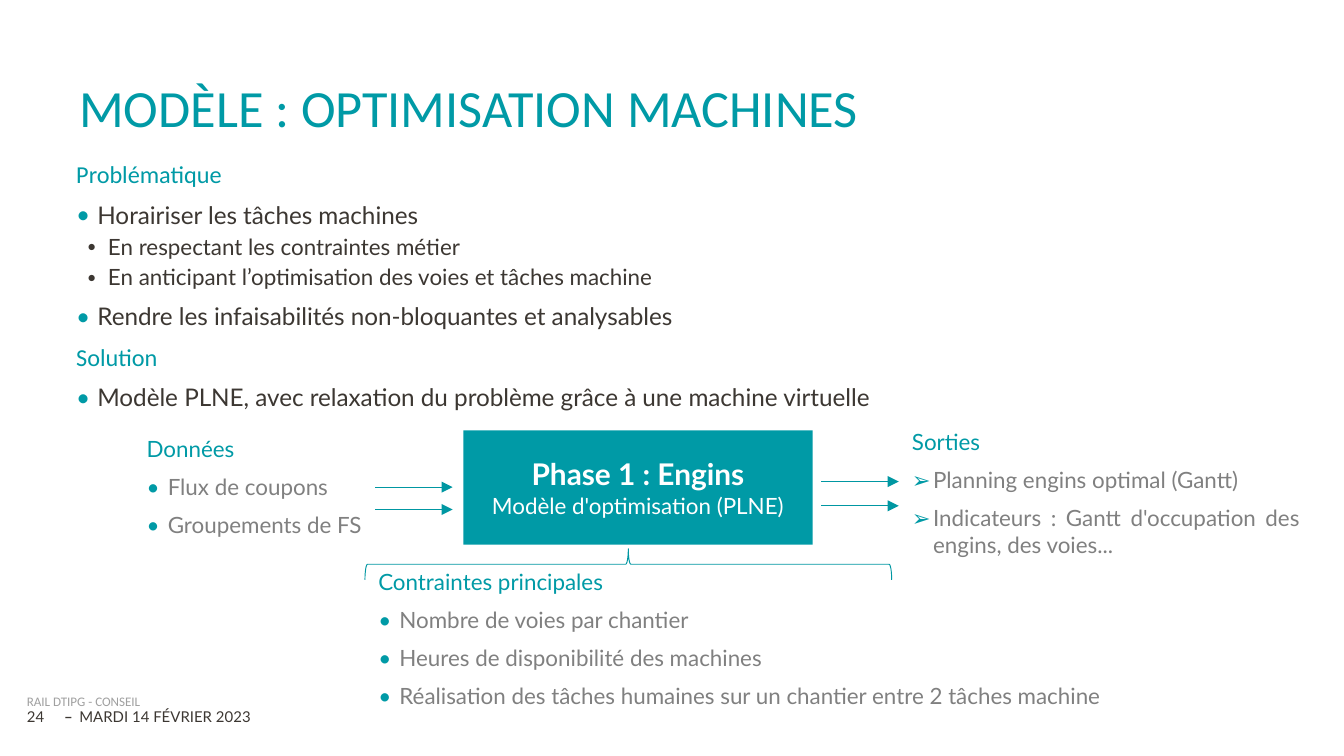
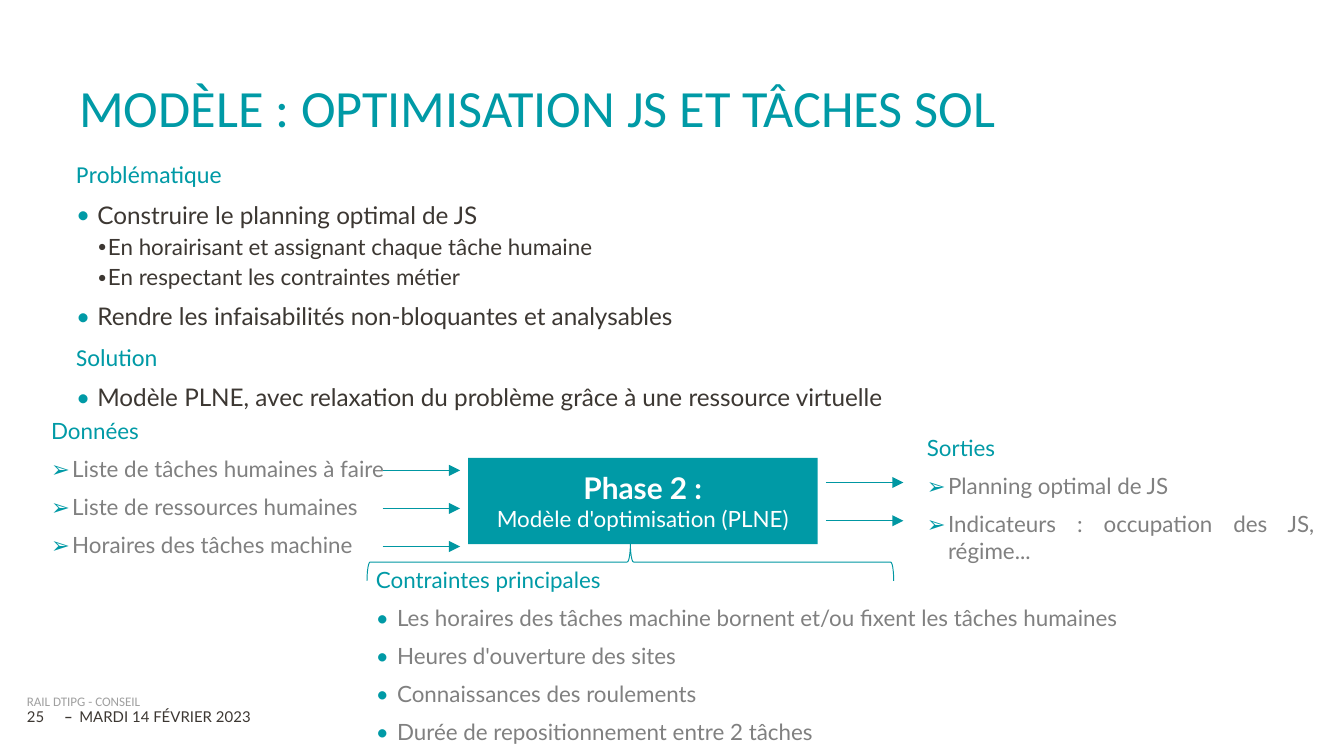
from collections import namedtuple
from dataclasses import dataclass

from lxml import etree
from pptx import Presentation
from pptx import util as u
from pptx.dml.color import RGBColor
from pptx.enum import shapes, text
from pptx.oxml.ns import qn

Box = namedtuple("Box", "left top width height")
Pt = u.Pt


@dataclass(frozen=True)
class Theme:
    teal: str = "009AA6"
    line: str = "0097A2"
    dark: str = "3C3732"
    grey: str = "808080"
    pale: str = "A0A0A0"
    white: str = "FFFFFF"
    heading_font: str = "Calibri"
    body_font: str = "Lato"
    title_size: int = 28
    phase_size: int = 16
    body_size: int = 13
    detail_size: int = 12
    footer_size: int = 8
    owner_size: int = 7
    line_width: float = 0.5
    indent: float = 11.34
    sub_indent: float = 17


THEME = Theme()
LEFT, CENTER, JUSTIFY = (text.PP_ALIGN.LEFT, text.PP_ALIGN.CENTER,
                         text.PP_ALIGN.JUSTIFY)
DOT, ARROW = "•", "➢"
TEXT_MARGINS = (7.2, 3.6)

# Regions found on both slides
TITLE_BOX = Box(42.5, 6.5, 635, 67.7)
BODY_BOX = Box(33.8, 82, 643.7, 297.4)
FOOTER_BOX = Box(14.4, 372.2, 150, 18.5)
OWNER = "RAIL DTIPG - CONSEIL"
DATE = "MARDI 14 FÉVRIER 2023"


def color(value):
    return RGBColor.from_string(value)


def set_frame(frame, margins, anchor=text.MSO_ANCHOR.TOP):
    frame.word_wrap = True
    frame.vertical_anchor = anchor
    frame.margin_left = frame.margin_right = Pt(margins[0])
    frame.margin_top = frame.margin_bottom = Pt(margins[1])
    return frame


def add_text_box(slide, box, margins=(0, 0), **options):
    shape = slide.shapes.add_textbox(*map(Pt, box))
    return set_frame(shape.text_frame, margins, **options)


def add_bullet(paragraph, char, bullet_color, scale, margin, hanging):
    properties = paragraph._p.get_or_add_pPr()
    properties.set("marL", str(Pt(margin)))
    properties.set("indent", str(-Pt(hanging)))
    fill = etree.SubElement(properties, qn("a:buClr"))
    etree.SubElement(fill, qn("a:srgbClr"), val=bullet_color)
    if scale:
        etree.SubElement(properties, qn("a:buSzPct"), val=str(scale * 1000))
    etree.SubElement(properties, qn("a:buFont"), typeface=THEME.body_font)
    etree.SubElement(properties, qn("a:buChar"), char=char)


def add_text(frame, content, size, ink, font=THEME.body_font, bold=False,
             align=LEFT, before=0, spacing=None, level=0, bullet=None,
             bullet_color=THEME.teal, scale=None, margin=THEME.indent,
             hanging=THEME.indent):
    paragraph = frame.paragraphs[0]
    if paragraph.runs:
        paragraph = frame.add_paragraph()
    paragraph.alignment = align
    paragraph.level = level
    paragraph.space_before = Pt(before)
    if spacing:
        paragraph.line_spacing = spacing
    if bullet:
        add_bullet(paragraph, bullet, bullet_color, scale, margin, hanging)
    run = paragraph.add_run()
    run.text = content
    run.font.name = font
    run.font.size = Pt(size)
    run.font.bold = bold
    run.font.color.rgb = color(ink)


# Title, body and footer
def draw_title(slide, box, title):
    frame = add_text_box(slide, box, anchor=text.MSO_ANCHOR.BOTTOM)
    add_text(frame, title, THEME.title_size, THEME.teal,
             font=THEME.heading_font, spacing=0.85)


def draw_body(slide, box, goal, means, resource, sub_hanging):
    frame = add_text_box(slide, box, TEXT_MARGINS)

    def heading(content):
        add_text(frame, content, THEME.body_size, THEME.teal,
                 font=THEME.heading_font, before=6)

    def item(content):
        add_text(frame, content, THEME.body_size, THEME.dark, align=JUSTIFY,
                 before=6, level=1, bullet=DOT)

    heading("Problématique")
    item(goal)
    for content in means:
        add_text(frame, content, THEME.detail_size, THEME.dark, align=JUSTIFY,
                 before=2, level=2, bullet=DOT, bullet_color=THEME.dark,
                 scale=75, margin=THEME.sub_indent, hanging=sub_hanging)
    item("Rendre les infaisabilités non-bloquantes et analysables")
    heading("Solution")
    item(f"Modèle PLNE, avec relaxation du problème grâce à une {resource} virtuelle")


def draw_footer(slide, box, number):
    base = box.top + 5.5
    style = dict(size=THEME.footer_size, ink=THEME.dark, spacing=1.14)
    dash = add_text_box(slide, Box(box.left + 16.6, base, 11.5, 13))
    add_text(dash, "–", bold=True, align=CENTER, **style)
    date = add_text_box(slide, Box(box.left + 28.1, base, box.width - 28.1, 13))
    add_text(date, DATE, **style)
    page = add_text_box(slide, Box(box.left, base, 28.1, 13))
    add_text(page, str(number), **style)
    owner = add_text_box(slide, Box(box.left, box.top, box.width, 8),
                         anchor=text.MSO_ANCHOR.BOTTOM)
    add_text(owner, OWNER, THEME.owner_size, THEME.pale,
             font=THEME.heading_font, spacing=0.9)


# Parts of the flow diagram
def draw_list(slide, box, heading, items, bullet):
    frame = add_text_box(slide, box, TEXT_MARGINS)
    add_text(frame, heading, THEME.detail_size, THEME.teal, before=6)
    for content in items:
        add_text(frame, content, THEME.detail_size, THEME.grey, align=JUSTIFY,
                 before=6, level=1, bullet=bullet)


def draw_phase(slide, box, name):
    shape = slide.shapes.add_shape(shapes.MSO_SHAPE.RECTANGLE, *map(Pt, box))
    shape.shadow.inherit = False
    shape.fill.solid()
    shape.fill.fore_color.rgb = color(THEME.teal)
    shape.line.fill.background()
    frame = set_frame(shape.text_frame, (6, 6), anchor=text.MSO_ANCHOR.MIDDLE)
    add_text(frame, name, THEME.phase_size, THEME.white, bold=True, align=CENTER)
    add_text(frame, "Modèle d'optimisation (PLNE)", THEME.detail_size,
             THEME.white, align=CENTER)


def set_line(line):
    line.color.rgb = color(THEME.line)
    line.width = Pt(THEME.line_width)


def draw_arrows(slide, box, count):
    """Spread level arrows evenly over the height of the box."""
    for index in range(count):
        y = Pt(box.top + index * box.height / (count - 1))
        arrow = slide.shapes.add_connector(
            shapes.MSO_CONNECTOR.STRAIGHT,
            Pt(box.left), y, Pt(box.left + box.width), y)
        set_line(arrow.line)
        properties = arrow.element.spPr
        etree.SubElement(properties.find(qn("a:ln")), qn("a:tailEnd"),
                         type="triangle")
        etree.SubElement(properties, qn("a:effectLst"))


def draw_brace(slide, box):
    """Fill the box with a brace that points upwards."""
    left = box.left + (box.width - box.height) / 2
    top = box.top + (box.height - box.width) / 2
    brace = slide.shapes.add_shape(
        shapes.MSO_SHAPE.RIGHT_BRACE,
        *map(Pt, (left, top, box.height, box.width)))
    brace.rotation = 270
    brace.shadow.inherit = False
    brace.fill.background()
    set_line(brace.line)


def draw_model_slide(presentation, number, model):
    slide = presentation.slides.add_slide(presentation.slide_layouts[6])
    draw_body(slide, BODY_BOX, **model["body"])
    draw_title(slide, TITLE_BOX, model["title"])
    draw_footer(slide, FOOTER_BOX, number)
    for heading, (box, bullet, items) in model["lists"].items():
        draw_list(slide, box, heading, items, bullet)
    draw_phase(slide, *model["phase"])
    for box, count in model["arrows"]:
        draw_arrows(slide, box, count)
    draw_brace(slide, model["brace"])


MACHINES = {
    "title": "MODÈLE : OPTIMISATION MACHINES",
    "body": dict(
        goal="Horairiser les tâches machines",
        means=["En respectant les contraintes métier",
               "En anticipant l’optimisation des voies et tâches machine"],
        resource="machine", sub_hanging=THEME.indent),
    "lists": {
        "Données": (Box(71.5, 229.7, 147, 98), DOT,
                    ["Flux de coupons", "Groupements de FS"]),
        "Contraintes principales": (
            Box(195.6, 300.8, 416, 97), DOT,
            ["Nombre de voies par chantier",
             "Heures de disponibilité des machines",
             "Réalisation des tâches humaines sur un chantier entre 2 tâches machine"]),
        "Sorties": (Box(481.5, 226, 222, 98.6), ARROW,
                    ["Planning engins optimal (Gantt)",
                     "Indicateurs : Gantt d'occupation des engins, des voies..."]),
    },
    "phase": (Box(248.2, 230.5, 187.2, 61.3), "Phase 1 : Engins"),
    "arrows": [(Box(201, 261, 41.5, 12), 2), (Box(440, 258, 41.5, 13), 2)],
    "brace": Box(195.5, 294, 282.2, 16.6),
}

GROUND_TASKS = {
    "title": "MODÈLE : OPTIMISATION JS ET TÂCHES SOL",
    "body": dict(
        goal="Construire le planning optimal de JS",
        means=["En horairisant et assignant chaque tâche humaine",
               "En respectant les contraintes métier"],
        resource="ressource", sub_hanging=THEME.indent / 2),
    "lists": {
        "Données": (Box(20.3, 220, 222, 98.6), ARROW,
                    ["Liste de tâches humaines à faire",
                     "Liste de ressources humaines",
                     "Horaires des tâches machine"]),
        "Contraintes principales": (
            Box(194.3, 299.7, 434, 97), DOT,
            ["Les horaires des tâches machine bornent et/ou fixent les tâches humaines",
             "Heures d'ouverture des sites",
             "Connaissances des roulements",
             "Durée de repositionnement entre 2 tâches"]),
        "Sorties": (Box(489.5, 229, 222, 77), ARROW,
                    ["Planning optimal de JS",
                     "Indicateurs : occupation des JS, régime..."]),
    },
    "phase": (Box(250.8, 245.3, 187.2, 46.2), "Phase 2 :"),
    "arrows": [(Box(205, 252, 41.5, 40.8), 3), (Box(442.5, 258.5, 41.5, 20.5), 2)],
    "brace": Box(196.6, 291, 282.2, 20.2),
}


def main():
    presentation = Presentation()
    presentation.slide_width = Pt(720)
    presentation.slide_height = Pt(405)
    for number, model in enumerate((MACHINES, GROUND_TASKS), start=24):
        draw_model_slide(presentation, number, model)
    presentation.save("out.pptx")


if __name__ == "__main__":
    main()
